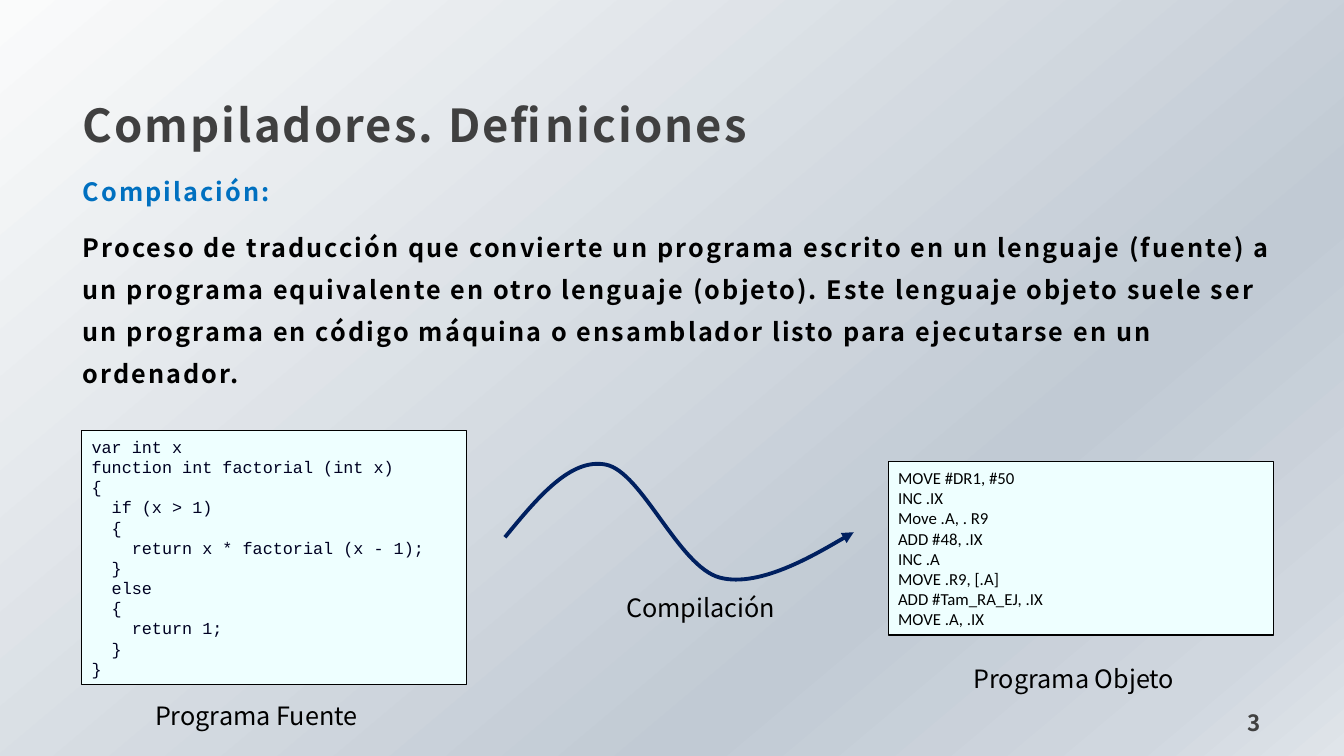
from lxml import etree
from pptx import Presentation
from pptx.dml.color import RGBColor
from pptx.enum.shapes import MSO_SHAPE
from pptx.enum.text import MSO_ANCHOR, PP_ALIGN
from pptx.oxml import parse_xml
from pptx.oxml.ns import nsdecls, qn
from pptx.util import Pt

LEFT, RIGHT = PP_ALIGN.LEFT, PP_ALIGN.RIGHT
TOP, MIDDLE, BOTTOM = MSO_ANCHOR.TOP, MSO_ANCHOR.MIDDLE, MSO_ANCHOR.BOTTOM
RECTANGLE = MSO_SHAPE.RECTANGLE
SANS = "Noto Sans CJK JP"


def color(hex_value):
    return RGBColor.from_string(hex_value)


def write(box, lines, size, hex_colors, font=SANS, bold=False, tracking=0,
          anchor=TOP, align=LEFT, spacing=None, gap=0, insets=(7.2, 3.6, 7.2, 3.6)):
    frame = box.text_frame
    frame.word_wrap = True
    frame.vertical_anchor = anchor
    (frame.margin_left, frame.margin_top,
     frame.margin_right, frame.margin_bottom) = [Pt(inset) for inset in insets]
    for index, line in enumerate(lines):
        para = frame.paragraphs[0] if index == 0 else frame.add_paragraph()
        para.text = line
        para.alignment = align
        if spacing:
            para.line_spacing = spacing
        if index and gap:
            para.space_before = Pt(gap)
        para.font.name = font
        para.font.size = Pt(size)
        para.font.bold = bold
        para.font.color.rgb = color(hex_colors[index % len(hex_colors)])
        if tracking:
            para._p.pPr.find(qn("a:defRPr")).set("spc", str(int(tracking * 100)))


deck = Presentation()
deck.slide_width, deck.slide_height = Pt(960), Pt(540)
page = deck.slides.add_slide(deck.slide_layouts[6])
shapes = page.shapes

# Background gradient with four stops
page.background.fill.gradient()
gradient = page.background._cSld.find(".//" + qn("a:gradFill"))
for child in list(gradient):
    gradient.remove(child)
stops = [(0, "FAFBFB"), (70, "C1CAD4"), (90, "D0D7DF"), (100, "E0E5EA")]
stop_list = etree.SubElement(gradient, qn("a:gsLst"))
for position, hex_value in stops:
    stop = etree.SubElement(stop_list, qn("a:gs"), pos=str(position * 1000))
    etree.SubElement(stop, qn("a:srgbClr"), val=hex_value)
etree.SubElement(gradient, qn("a:lin"), ang=str(50 * 60000), scaled="0")

# Title, definition and page number
title = shapes.add_textbox(Pt(50.4), Pt(55.4), Pt(885.6), Pt(46))
write(title, ["Compiladores. Definiciones"], 32.4, ["404040"], bold=True, tracking=1.5,
      anchor=MIDDLE, spacing=1.5, insets=(8.64, 8.64, 8.64, 7.2))

definition = shapes.add_textbox(Pt(50.4), Pt(101.5), Pt(885.6), Pt(200))
write(definition, [
    "Compilación:",
    "Proceso de traducción que convierte un programa escrito en un lenguaje (fuente) a "
    "un programa equivalente en otro lenguaje (objeto). Este lenguaje objeto suele ser "
    "un programa en código máquina o ensamblador listo para ejecutarse en un ordenador.",
], 18, ["0070C0", "000000"], bold=True, tracking=1.5, spacing=1.4, gap=9.3,
    insets=(8.64, 16, 8.64, 7.2))

number = shapes.add_textbox(Pt(832.3), Pt(496.8), Pt(77), Pt(36))
write(number, ["3"], 16, ["404040"], bold=True, tracking=1.5, anchor=BOTTOM,
      align=RIGHT, insets=(8.64, 8.64, 8.64, 7.2))

# Source and object programs
source_code = """var int x
function int factorial (int x)
{
  if (x > 1)
  {
    return x * factorial (x - 1);
  }
  else
  {
    return 1;
  }
}"""
object_code = """MOVE #DR1, #50
INC .IX
Move .A, . R9
ADD #48, .IX
INC .A
MOVE .R9, [.A]
ADD #Tam_RA_EJ, .IX
MOVE .A, .IX"""
programs = [
    (58.3, 307.5, 181.5, source_code, "Courier New", "000022"),
    (634.4, 329.8, 123.8, object_code, "Calibri", "000000"),
]
for left, top, height, code, font, hex_value in programs:
    program = shapes.add_shape(RECTANGLE, Pt(left), Pt(top), Pt(275), Pt(height))
    program.shadow.inherit = False
    program.fill.solid()
    program.fill.fore_color.rgb = color("EEFFFF")
    program.line.color.rgb = color("000000")
    program.line.width = Pt(0.75)
    write(program, code.split("\n"), 12, [hex_value], font=font, anchor=MIDDLE)

# Curved arrow: a start point, then three Bezier points per curve
start = (360.7, 383.8)
bezier_points = [
    (383.8, 355.7), (407.5, 326.9), (432.7, 331.9),
    (458.6, 337), (484.6, 404.6), (514.1, 412.6),
    (543.6, 420.5), (609.8, 380.2), (609.8, 380.2),
]
builder = shapes.build_freeform(Pt(start[0]), Pt(start[1]))
builder.add_line_segments([(Pt(x), Pt(y)) for x, y in bezier_points], close=False)
arrow = builder.convert_to_shape()
segments = list(arrow._element.iter(qn("a:lnTo")))
for first in range(0, len(segments), 3):
    curve = etree.Element(qn("a:cubicBezTo"))
    segments[first].addprevious(curve)
    for segment in segments[first:first + 3]:
        curve.append(segment[0])
        segment.getparent().remove(segment)
arrow.shadow.inherit = False
arrow.fill.background()
arrow.line.color.rgb = color("002060")
arrow.line.width = Pt(2.75)
arrow.line._get_or_add_ln().append(
    parse_xml(f'<a:tailEnd {nsdecls("a")} type="triangle"/>'))

# Labels
labels = [("Compilación", 440.2, 419.8), ("Programa Fuente", 103.7, 496.8),
          ("Programa Objeto", 688.3, 470.2)]
for text, left, top in labels:
    label = shapes.add_textbox(Pt(left), Pt(top), Pt(167), Pt(29))
    write(label, [text], 18, ["000000"])

deck.save("out.pptx")
